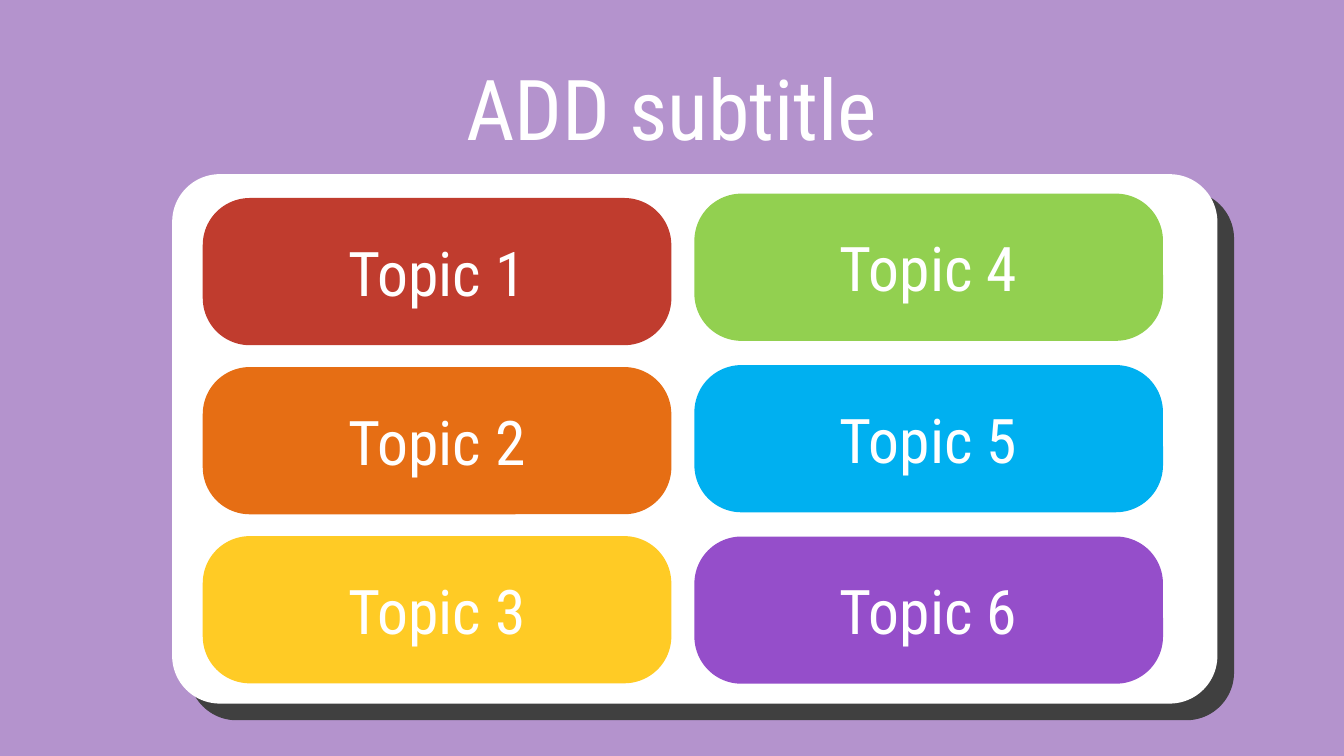
from dataclasses import dataclass

from pptx import Presentation
from pptx import util as u
from pptx.dml import color
from pptx.enum import shapes, text


@dataclass(frozen=True)
class Theme:
    font: str = "Roboto Condensed"
    title_size: int = 60
    topic_size: int = 44
    text: str = "FFFFFF"
    backdrop: str = "B493CD"
    panel: str = "FFFFFF"
    panel_shade: str = "404040"


@dataclass(frozen=True)
class Block:
    left: float
    top: float
    width: float
    height: float
    fill: str | None = None
    radius: float | None = None
    label: str = ""
    size: int = 0


@dataclass(frozen=True)
class TopicColumn:
    left: float
    top: float
    pitch: float
    first: int
    fills: tuple[str, ...]


THEME = Theme()
PAGE_WIDTH, PAGE_HEIGHT = 33.87, 19.05
PANEL_LEFT, PANEL_TOP, SHADE_OFFSET = 4.34, 4.39, 0.42
COLUMNS = (
    TopicColumn(5.11, 4.99, 4.26, 1, ("C03C2E", "E66E14", "FFCB25")),
    TopicColumn(17.5, 4.88, 4.32, 4, ("92D050", "00B0F0", "954ECA")),
)


def write_label(box, block: Block) -> None:
    """Centre the label of a block inside its shape."""
    frame = box.text_frame
    frame.word_wrap = True
    frame.vertical_anchor = text.MSO_ANCHOR.MIDDLE
    para = frame.paragraphs[0]
    para.alignment = text.PP_ALIGN.CENTER
    span = para.add_run()
    span.text = block.label
    for name, value in {"name": THEME.font, "size": u.Pt(block.size)}.items():
        setattr(span.font, name, value)
    span.font.color.rgb = color.RGBColor.from_string(THEME.text)


def draw_block(page, block: Block) -> None:
    """Draw a plain or rounded block, with its label if it has one."""
    kind = shapes.MSO_SHAPE.RECTANGLE
    if block.radius is not None:
        kind = shapes.MSO_SHAPE.ROUNDED_RECTANGLE
    box = page.shapes.add_shape(
        kind, u.Cm(block.left), u.Cm(block.top), u.Cm(block.width), u.Cm(block.height)
    )
    box.shadow.inherit = False
    box.line.fill.background()
    if block.radius is not None:
        box.adjustments[0] = block.radius
    if block.fill:
        box.fill.solid()
        box.fill.fore_color.rgb = color.RGBColor.from_string(block.fill)
    else:
        box.fill.background()
    if block.label:
        write_label(box, block)


def draw_panel(page) -> None:
    """Draw the white panel above its offset shade."""
    for offset, fill in ((SHADE_OFFSET, THEME.panel_shade), (0, THEME.panel)):
        draw_block(page, Block(PANEL_LEFT + offset, PANEL_TOP + offset,
                               26.34, 13.34, fill, 0.09))


def draw_topics(page, column: TopicColumn) -> None:
    """Stack the numbered topics of one column."""
    for row, fill in enumerate(column.fills):
        draw_block(page, Block(column.left, column.top + row * column.pitch,
                               11.81, 3.71, fill, 0.32,
                               f"Topic {column.first + row}", THEME.topic_size))


def main() -> None:
    deck = Presentation()
    deck.slide_width, deck.slide_height = u.Cm(PAGE_WIDTH), u.Cm(PAGE_HEIGHT)
    page = deck.slides.add_slide(deck.slide_layouts[6])

    # Backdrop
    page.background.fill.solid()
    page.background.fill.fore_color.rgb = color.RGBColor.from_string(THEME.backdrop)
    draw_block(page, Block(0, 0, PAGE_WIDTH, PAGE_HEIGHT, THEME.backdrop))

    # Panel and topics
    draw_panel(page)
    for column in COLUMNS:
        draw_topics(page, column)

    # Heading
    draw_block(page, Block(0, 0.41, PAGE_WIDTH, 4.55, radius=0,
                           label="ADD subtitle", size=THEME.title_size))

    deck.save("out.pptx")


if __name__ == "__main__":
    main()
